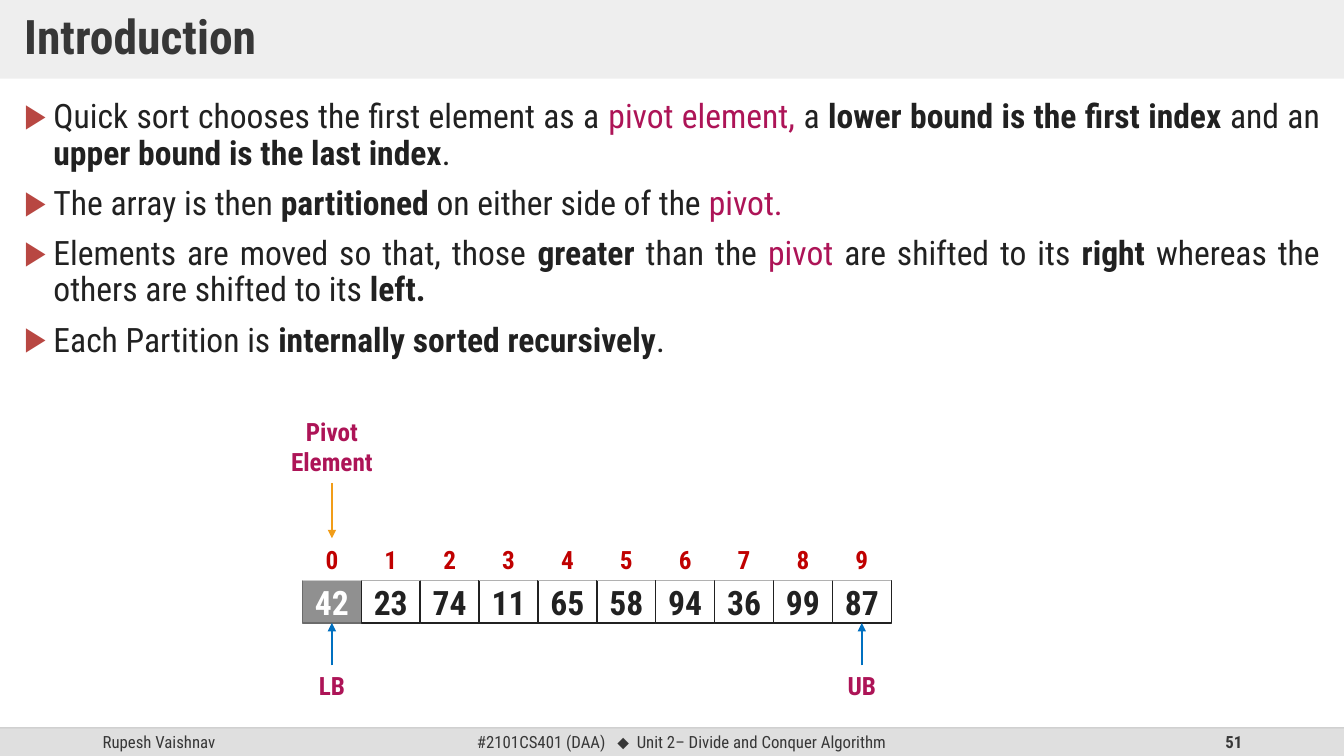
from lxml import etree
from pptx import Presentation
from pptx import util as u
from pptx.dml.color import RGBColor
from pptx.enum import shapes, text
from pptx.oxml.ns import qn

# Content: a run is plain text or (text, style)
TITLE = "Introduction"
BULLETS = [
    ["Quick sort chooses the first element as a ", ("pivot element, ", "key"), "a ",
     ("lower bound is the first index ", "bold"), "and an ",
     ("upper bound is the last index", "bold"), "."],
    ["The array is then ", ("partitioned", "bold"), " on either side of the ",
     ("pivot.", "key")],
    ["Elements are moved so that, those ", ("greater", "bold"), " than the ",
     ("pivot", "key"), " are shifted to its ", ("right ", "bold"),
     "whereas the others are shifted to its ", ("left.", "bold")],
    ["Each Partition is ", ("internally sorted recursively", "bold"), "."],
]
ARRAY = [42, 23, 74, 11, 65, 58, 94, 36, 99, 87]
PIVOT_LABEL = [["Pivot"], ["Element"]]
BOUNDS = [("LB", 0, 0.46), ("UB", len(ARRAY) - 1, 0.49)]  # label, index, width
AUTHOR, PAGE = "Rupesh Vaishnav", "51"
COURSE = ["#2101CS401 (DAA)   ", ("⬥", "symbol"), "  Unit 2– Divide and Conquer Algorithm"]


class Theme:
    font, symbol_font = "Roboto Condensed", "Arial"
    title, body, label, footer = 34, 24, 18, 12
    ink, heading, key, index = "212121", "373737", "AD1457", "C00000"
    white, band, rule, bullet = "FFFFFF", "DFDFDF", "BFBFBF", "B84742"
    pivot_fill, pivot_line = "909090", "6B6B6B"
    bound_arrow, pivot_arrow = "0070C0", "F19D19"


WIDTH, HEIGHT = 13.33, 7.5
FOOT_Y, FOOT_H = 7.22, 0.28
CELL_W, CELL_H = 0.584, 0.42
ARRAY_X, ARRAY_Y = 3, 5.76
ALIGN = {"l": text.PP_ALIGN.LEFT, "c": text.PP_ALIGN.CENTER,
         "r": text.PP_ALIGN.RIGHT, "j": text.PP_ALIGN.JUSTIFY}

prs = Presentation()
prs.slide_width, prs.slide_height = u.Inches(WIDTH), u.Inches(HEIGHT)
s = prs.slides.add_slide(prs.slide_layouts[1])


def rgb(value):
    return RGBColor.from_string(value)


def place(sp, x, y, w, h):
    sp.left, sp.top, sp.width, sp.height = (u.Inches(v) for v in (x, y, w, h))


def set_alpha(fill_parent, percent):
    color = fill_parent.find(".//" + qn("a:srgbClr"))
    etree.SubElement(color, qn("a:alpha"), val=str(percent * 1000))


def add_bullet(p):
    pPr = p._p.get_or_add_pPr()
    pPr.set("marL", str(u.Inches(0.29)))
    pPr.set("indent", str(-u.Inches(0.29)))
    color = etree.SubElement(pPr, qn("a:buClr"))
    etree.SubElement(color, qn("a:srgbClr"), val=Theme.bullet)
    etree.SubElement(pPr, qn("a:buChar"), char="▶")


def write(sp, paragraphs, size, color, bold=False, align="l", spacing=None, gap=0,
          bullets=False, middle=True, wrap=True, grow=False, insets=(0.1, 0.05)):
    tf = sp.text_frame
    tf.word_wrap = wrap
    tf.auto_size = (text.MSO_AUTO_SIZE.SHAPE_TO_FIT_TEXT if grow
                    else text.MSO_AUTO_SIZE.NONE)
    tf.vertical_anchor = text.MSO_ANCHOR.MIDDLE if middle else text.MSO_ANCHOR.TOP
    tf.margin_left = tf.margin_right = u.Inches(insets[0])
    tf.margin_top = tf.margin_bottom = u.Inches(insets[1])
    for i, runs in enumerate(paragraphs):
        p = tf.add_paragraph() if i else tf.paragraphs[0]
        if bullets:
            add_bullet(p)
        p.alignment = ALIGN[align]
        p.space_before = u.Pt(gap if i else 0)
        if spacing:
            p.line_spacing = spacing
        for run in runs:
            words, style = (run, None) if isinstance(run, str) else run
            r = p.add_run()
            r.text = words
            r.font.size = u.Pt(size)
            r.font.name = Theme.symbol_font if style == "symbol" else Theme.font
            r.font.bold = bold or style == "bold"
            r.font.color.rgb = rgb(Theme.key if style == "key" else color)


def add_box(x, y, w, h, fill, line=None, kind=shapes.MSO_SHAPE.RECTANGLE):
    sp = s.shapes.add_shape(kind, 0, 0, 0, 0)
    place(sp, x, y, w, h)
    sp.shadow.inherit = False
    sp.fill.solid()
    sp.fill.fore_color.rgb = rgb(fill)
    if line:
        sp.line.color.rgb = rgb(line)
        sp.line.width = u.Pt(1)
    else:
        sp.line.fill.background()
    return sp


def add_text(x, y, w, h, paragraphs, size, color, **fmt):
    sp = s.shapes.add_textbox(*(u.Inches(v) for v in (x, y, w, h)))
    write(sp, paragraphs, size, color, **fmt)
    return sp


def add_line(color, start=(0, 0), end=(0, 0)):
    ends = [u.Inches(v) for v in (*start, *end)]
    line = s.shapes.add_connector(shapes.MSO_CONNECTOR.STRAIGHT, *ends)
    line.line.color.rgb = rgb(color)
    line.line.width = u.Pt(1)
    etree.SubElement(line._element.spPr, qn("a:effectLst"))
    return line


def add_arrow(color, source, source_side, target, target_side):
    arrow = add_line(color)
    arrow.begin_connect(source, source_side)
    arrow.end_connect(target, target_side)
    etree.SubElement(arrow.line._get_or_add_ln(), qn("a:tailEnd"), type="triangle")


def add_footer():
    bar = add_box(0, FOOT_Y, WIDTH, FOOT_H, Theme.band,
                  kind=shapes.MSO_SHAPE.ROUNDED_RECTANGLE)
    bar.adjustments[0] = 0
    for x, w, runs, align, bold in [(0.92, 3, [AUTHOR], "l", False),
                                    (4.42, 4.68, COURSE, "c", False),
                                    (9.42, 3, [PAGE], "r", True)]:
        add_text(x, FOOT_Y, w, FOOT_H, [runs], Theme.footer, Theme.heading,
                 align=align, bold=bold)
    rule = add_line(Theme.rule, (0, FOOT_Y), (WIDTH, FOOT_Y))
    set_alpha(rule.line._get_or_add_ln(), 70)


def add_heading_and_bullets():
    title, body = s.shapes.title, s.placeholders[1]
    place(title, 0, 0, WIDTH, 0.78)
    title.fill.solid()
    title.fill.fore_color.rgb = rgb(Theme.band)
    set_alpha(title._element.spPr, 50)
    write(title, [[TITLE]], Theme.title, Theme.heading, bold=True, spacing=0.9,
          insets=(0.24, 0.12))
    place(body, 0.14, 0.94, 13.05, 6.11)
    write(body, BULLETS, Theme.body, Theme.ink, align="j", spacing=0.9, gap=10,
          bullets=True, middle=False)


def add_array():
    cells, indexes = [], []
    for i, value in enumerate(ARRAY):
        x = ARRAY_X + i * CELL_W
        fill, line, ink = ((Theme.white, Theme.ink, Theme.ink) if i else
                           (Theme.pivot_fill, Theme.pivot_line, Theme.white))
        cell = add_box(x, ARRAY_Y, CELL_W, CELL_H, fill, line)
        write(cell, [[str(value)]], Theme.body, ink, bold=True, align="c")
        index = add_box(x, ARRAY_Y - CELL_H, CELL_W, CELL_H, Theme.white)
        write(index, [[str(i)]], Theme.label, Theme.index, bold=True, align="c")
        cells.append(cell)
        indexes.append(index)
    return cells, indexes


def add_label(i, y, w, h, paragraphs):
    """Centre a label on column i of the array."""
    x = ARRAY_X + (i + 0.5) * CELL_W - w / 2
    return add_text(x, y, w, h, paragraphs, Theme.label, Theme.key, bold=True,
                    align="c", middle=False, wrap=False, grow=True)


add_footer()
add_heading_and_bullets()
cells, indexes = add_array()
for name, i, w in BOUNDS:
    add_arrow(Theme.bound_arrow, add_label(i, 6.6, w, 0.4, [[name]]), 0, cells[i], 2)
pivot = add_label(0, 4.08, 1.02, 0.71, PIVOT_LABEL)
add_arrow(Theme.pivot_arrow, pivot, 2, indexes[0], 0)

prs.save("out.pptx")
